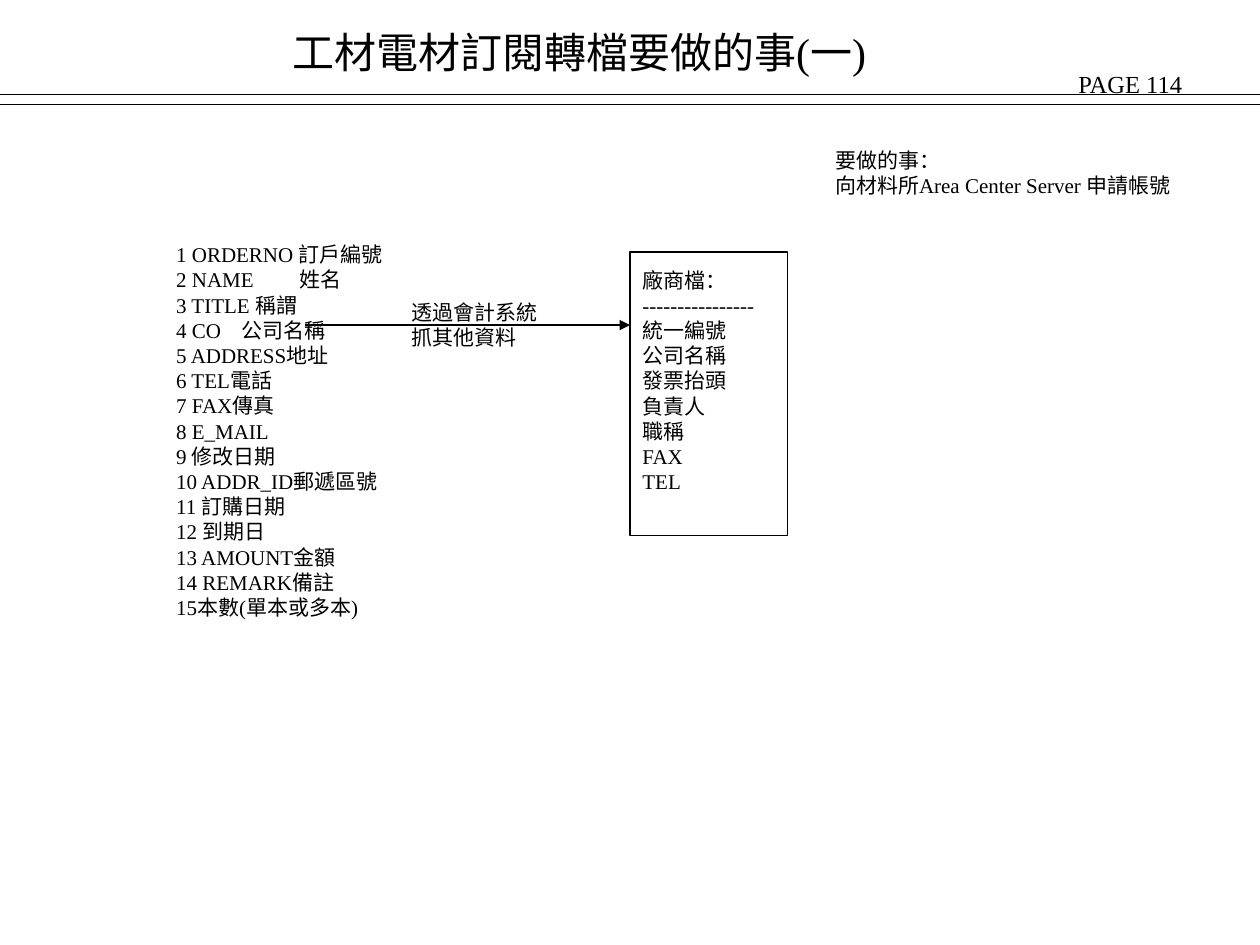
from dataclasses import dataclass

from lxml import etree
from pptx import Presentation
from pptx.dml.color import RGBColor
from pptx.enum.shapes import MSO_CONNECTOR, MSO_SHAPE
from pptx.enum.text import MSO_ANCHOR, PP_ALIGN
from pptx.oxml.ns import qn
from pptx.util import Inches, Pt

STRAIGHT = MSO_CONNECTOR.STRAIGHT
RECTANGLE = MSO_SHAPE.RECTANGLE
TOP = MSO_ANCHOR.TOP
LEFT = PP_ALIGN.LEFT


@dataclass(frozen=True)
class Theme:
    font: str = "Times New Roman"
    ink: RGBColor = RGBColor(0, 0, 0)
    title: int = 24
    page: int = 14
    body: int = 12
    line: float = 0.75


THEME = Theme()

# Content
TITLE = ["工材電材訂閱轉檔要做的事(一)"]
PAGE = ["PAGE 114"]
TODO = ["要做的事：", "向材料所Area Center Server 申請帳號"]
ORDER_FIELDS = [
    "1 ORDERNO 訂戶編號", "2 NAME\t姓名", "3 TITLE 稱謂", "4 CO\t公司名稱",
    "5 ADDRESS地址", "6 TEL電話", "7 FAX傳真", "8 E_MAIL", "9 修改日期",
    "10 ADDR_ID郵遞區號", "11 訂購日期", "12 到期日", "13 AMOUNT金額",
    "14 REMARK備註", "15本數(單本或多本)",
]
FIELD_TABS = {1: 0.98, 3: 0.52}  # line index: tab stop in inches
LOOKUP_NOTE = ["透過會計系統", "抓其他資料"]
VENDOR_FIELDS = [
    "廠商檔：", "----------------", "統一編號", "公司名稱", "發票抬頭",
    "負責人", "職稱", "FAX", "TEL",
]

# Text, type size, (left, top, width, height), tab stops
TEXTS = [
    (PAGE, THEME.page, (8.46, 0.5, 1.57, 0.34), {}),
    (ORDER_FIELDS, THEME.body, (1.3, 1.87, 1.88, 3.1), FIELD_TABS),
    (LOOKUP_NOTE, THEME.body, (3.17, 2.33, 1.2, 0.5), {}),
    (TODO, THEME.body, (6.53, 1.12, 2.94, 0.5), {}),
    (TITLE, THEME.title, (2.22, 0.16, 5.15, 0.5), {}),
]
VENDOR_BOX = (5, 2, 1.25, 2.25)
VENDOR_TEXT_TOP = 0.12
LOOKUP_ARROW = (2.42, 5, 2.58)  # from x, to x, y
HEADER_RULES = [0.75, 0.83]
SLIDE_W, SLIDE_H = 10, 7.5


def write(frame, lines, size, tabs):
    frame.text = "\n".join(lines)
    for index, paragraph in enumerate(frame.paragraphs):
        paragraph.alignment = LEFT
        if index in tabs:
            stops = etree.SubElement(paragraph._p.get_or_add_pPr(), qn("a:tabLst"))
            etree.SubElement(stops, qn("a:tab"),
                             pos=str(Inches(tabs[index])), algn="l")
        font = paragraph.font
        font.name, font.size = THEME.font, Pt(size)
        font.color.rgb = THEME.ink


def add_text(slide, lines, size, place, tabs):
    frame = slide.shapes.add_textbox(*map(Inches, place)).text_frame
    frame.word_wrap = False
    write(frame, lines, size, tabs)


def style_line(line):
    line.color.rgb = THEME.ink
    line.width = Pt(THEME.line)


def add_rule(slide, x1, x2, y, arrow=False):
    rule = slide.shapes.add_connector(STRAIGHT, *map(Inches, (x1, y, x2, y)))
    style_line(rule.line)
    if arrow:
        etree.SubElement(rule.line._get_or_add_ln(), qn("a:tailEnd"), type="triangle")
    etree.SubElement(rule._element.spPr, qn("a:effectLst"))


def main():
    deck = Presentation()
    deck.slide_width, deck.slide_height = Inches(SLIDE_W), Inches(SLIDE_H)
    slide = deck.slides.add_slide(deck.slide_layouts[6])

    # Vendor file
    vendor = slide.shapes.add_shape(RECTANGLE, *map(Inches, VENDOR_BOX))
    vendor.shadow.inherit = False
    vendor.fill.background()
    style_line(vendor.line)
    frame = vendor.text_frame
    frame.word_wrap = True
    frame.vertical_anchor = TOP
    frame.margin_top = Inches(VENDOR_TEXT_TOP)
    write(frame, VENDOR_FIELDS, THEME.body, {})

    # Lookup arrow and header rules
    add_rule(slide, *LOOKUP_ARROW, arrow=True)
    for y in HEADER_RULES:
        add_rule(slide, 0, SLIDE_W, y)

    # Title, page number, field list and notes
    for text in TEXTS:
        add_text(slide, *text)

    deck.save("out.pptx")


if __name__ == "__main__":
    main()
